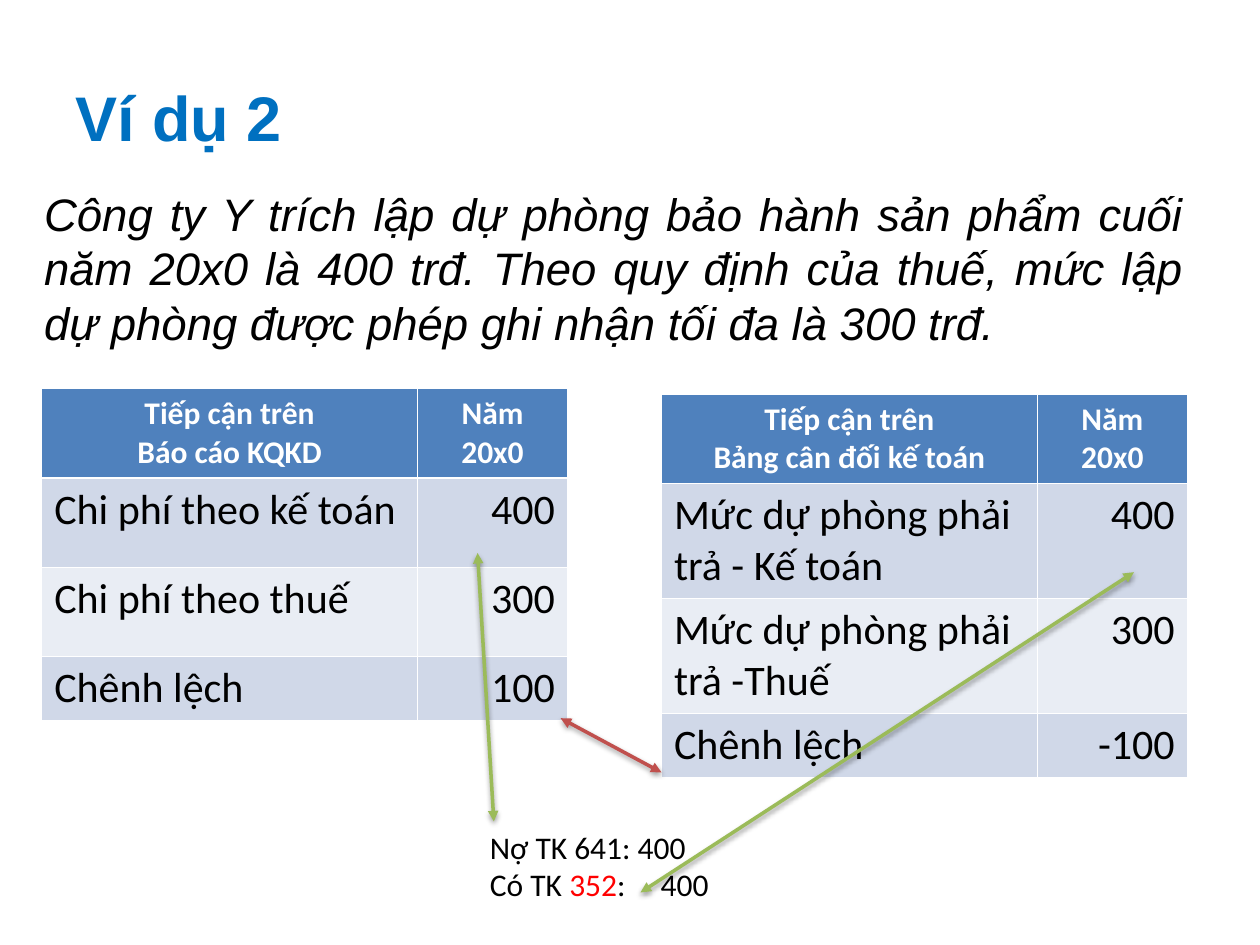
import pptx
import pptx.dml.color
import pptx.enum.shapes
import pptx.enum.text
import pptx.oxml.ns
import pptx.util
from lxml import etree

Pt = pptx.util.Pt
ALIGN = pptx.enum.text.PP_ALIGN
ANCHOR = pptx.enum.text.MSO_ANCHOR
qn = pptx.oxml.ns.qn

COLORS = {
    "title": "0070C0", "text": "000000", "white": "FFFFFF", "account": "FF0000",
    "header": "4F81BD", "odd_row": "D0D8E8", "even_row": "E9EDF4",
    "entry_arrow": "9BBB59", "link_arrow": "C0504D",
}


def rgb(name):
    return pptx.dml.color.RGBColor.from_string(COLORS[name])


def style(paragraph, size, color, face="Calibri", bold=False, italic=False, align=ALIGN.LEFT):
    paragraph.alignment = align
    for run in paragraph.runs:
        run.font.size = Pt(size)
        run.font.name = face
        run.font.bold = bold
        run.font.italic = italic
        run.font.color.rgb = rgb(color)


deck = pptx.Presentation()
deck.slide_width, deck.slide_height = Pt(720), Pt(540)
slide = deck.slides.add_slide(deck.slide_layouts[1])

heading = slide.shapes.title
heading.left, heading.top, heading.width, heading.height = Pt(36), Pt(21.6), Pt(648), Pt(90)
heading.text_frame.text = "Ví dụ 2"
heading.text_frame.vertical_anchor = ANCHOR.MIDDLE
style(heading.text_frame.paragraphs[0], 36, "title", "Arial", bold=True)

example = slide.placeholders[1]
example.left, example.top, example.width, example.height = Pt(18), Pt(102.5), Pt(666), Pt(165.5)
example.text_frame.text = (
    "Công ty Y trích lập dự phòng bảo hành sản phẩm cuối năm 20x0 là 400 trđ. "
    "Theo quy định của thuế, mức lập dự phòng được phép ghi nhận tối đa là 300 trđ."
)
example_line = example.text_frame.paragraphs[0]
example_format = example_line._p.get_or_add_pPr()
example_format.set("marL", "0")
example_format.set("indent", "0")
etree.SubElement(example_format, qn("a:buNone"))
example_line.space_before = Pt(0)
style(example_line, 26, "text", "Arial", italic=True, align=ALIGN.JUSTIFY)

approaches = [
    (23.8, 222, [
        ("Tiếp cận trên\nBáo cáo KQKD", "Năm 20x0"),
        ("Chi phí theo kế toán", "400"),
        ("Chi phí theo thuế", "300"),
        ("Chênh lệch", "100"),
    ]),
    (378, 225, [
        ("Tiếp cận trên\nBảng cân đối kế toán", "Năm 20x0"),
        ("Mức dự phòng phải trả - Kế toán", "400"),
        ("Mức dự phòng phải trả -Thuế", "300"),
        ("Chênh lệch", "-100"),
    ]),
]
for left, top, rows in approaches:
    comparison = slide.shapes.add_table(4, 2, Pt(left), Pt(top), Pt(300.5), Pt(182)).table
    for column, width in zip(comparison.columns, (214.8, 85.7)):
        column.width = Pt(width)
    for row, height in zip(comparison.rows, (51, 51, 51, 29)):
        row.height = Pt(height)
    for r, values in enumerate(rows):
        for c, value in enumerate(values):
            cell = comparison.cell(r, c)
            cell.text_frame.text = value
            cell.fill.solid()
            if r == 0:
                cell.fill.fore_color.rgb = rgb("header")
                cell.vertical_anchor = ANCHOR.MIDDLE
            else:
                cell.fill.fore_color.rgb = rgb("odd_row" if r % 2 else "even_row")
            for paragraph in cell.text_frame.paragraphs:
                if r == 0:
                    style(paragraph, 18, "white", bold=True, align=ALIGN.CENTER)
                else:
                    style(paragraph, 24, "text", align=ALIGN.RIGHT if c else ALIGN.LEFT)

entry = slide.shapes.add_textbox(Pt(272.9), Pt(469.4), Pt(216), Pt(51)).text_frame
entry.word_wrap = True
debit = entry.paragraphs[0]
debit.text = "Nợ TK 641: 400"
credit = entry.add_paragraph()
for part in ("Có TK ", "352", ":\t400"):
    credit.add_run().text = part
tabs = etree.SubElement(credit._p.get_or_add_pPr(), qn("a:tabLst"))
etree.SubElement(tabs, qn("a:tab"), pos=str(Pt(97.6)), algn="l")
for paragraph in (debit, credit):
    style(paragraph, 18, "text")
credit.runs[1].font.color.rgb = rgb("account")

arrows = [
    (272.9, 316, 282.2, 469.4, "entry_arrow"),
    (648, 327, 366, 510, "entry_arrow"),
    (320.4, 410.4, 378, 441.4, "link_arrow"),
]
for x1, y1, x2, y2, color in arrows:
    arrow = slide.shapes.add_connector(
        pptx.enum.shapes.MSO_CONNECTOR.STRAIGHT, Pt(x1), Pt(y1), Pt(x2), Pt(y2)
    )
    arrow.line.color.rgb = rgb(color)
    arrow.line.width = Pt(2)
    for end in ("a:headEnd", "a:tailEnd"):
        etree.SubElement(arrow.line._get_or_add_ln(), qn(end), type="triangle")

deck.save("out.pptx")
